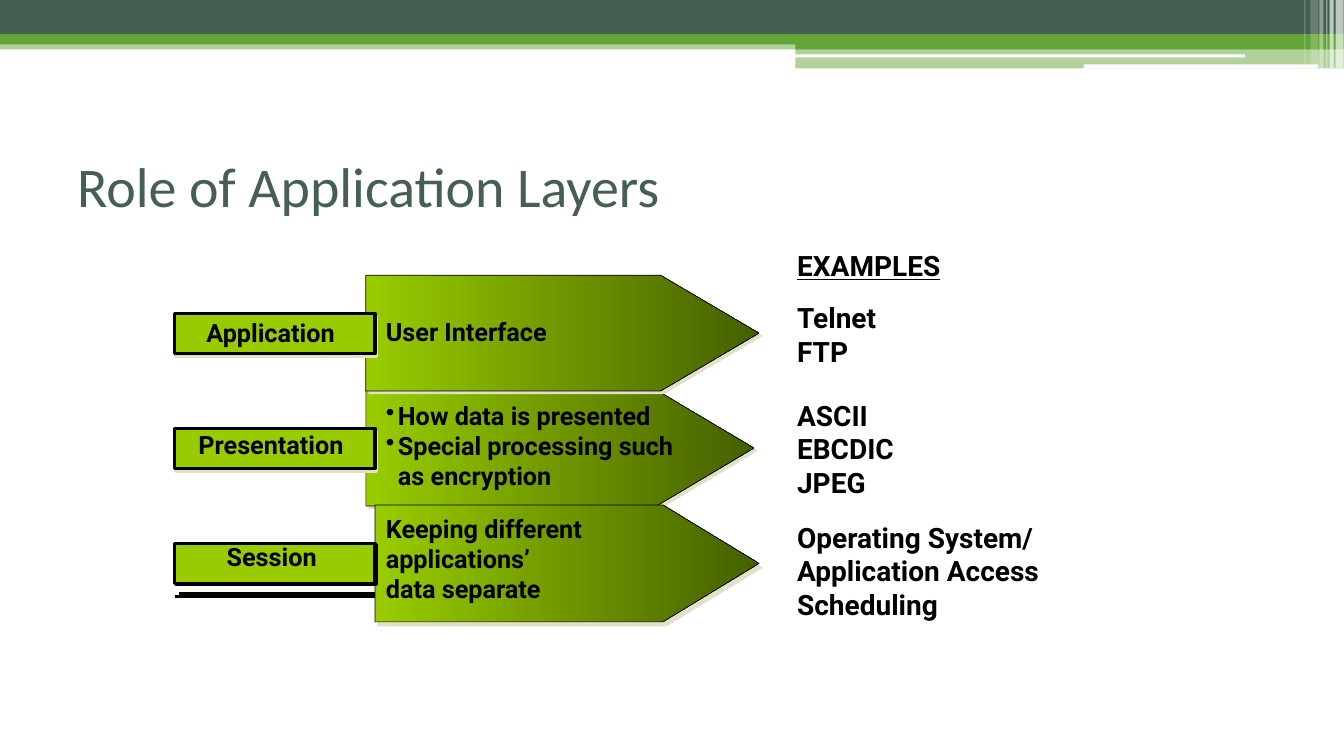
from dataclasses import dataclass

from lxml import etree
from pptx import Presentation
from pptx import util as u
from pptx.dml.color import RGBColor
from pptx.enum import shapes, text
from pptx.oxml import ns

COLUMNS, ROWS = 160, 90
WIDTH, HEIGHT = u.Emu(12192000), u.Emu(6858000)
COLORS = {
    "forest": "455F51", "green": "63A537", "white": "FFFFFF", "black": "000000",
    "lime": "99CC00", "olive": "456000", "sand": "E2DFCC",
}
FORMATS = {
    "title": {"name": "Calibri", "size": u.Pt(40), "bold": False},
    "label": {"name": "Roboto", "size": u.Pt(18), "bold": True},
    "example": {"name": "Roboto", "size": u.Pt(20), "bold": True},
    "heading": {"name": "Roboto", "size": u.Pt(20), "bold": True, "underline": True},
}
LAYER_PITCH = 13.68
ARROW_TOP, NAME_TOP = 32.76, 37.32
DETAIL_LEFT, EXAMPLE_LEFT = 44.76, 93.72


@dataclass(frozen=True)
class Box:
    left: float
    top: float
    width: float
    height: float


@dataclass(frozen=True)
class Shadow:
    color: str
    distance: float
    angle: int


@dataclass(frozen=True)
class Bar:
    box: Box
    color: str
    opacity: int = 100
    rounded: bool = False


@dataclass(frozen=True)
class Arrow:
    layer: int
    left: float
    width: float
    height: float
    point: float
    shadow: Shadow


@dataclass(frozen=True)
class Caption:
    box: Box
    lines: tuple[str, ...]
    style: str
    color: str = "black"
    middle: bool = True
    wrap: bool = True
    bullets: bool = False


BARS = [
    Bar(Box(0, 4.8, 160, 1.08), "green", 50),
    Bar(Box(0, 0, 160, 4.08), "forest"),
    Bar(Box(0, 4.08, 160, 1.2), "green"),
    Bar(Box(94.68, 4.68, 65.32, 1.2), "green"),
    Bar(Box(94.68, 5.76, 65.32, 2.4), "green", 50),
    Bar(Box(94.56, 6.48, 53.64, 0.36), "white", rounded=True),
    Bar(Box(129, 7.68, 27.96, 0.48), "white", rounded=True),
    Bar(Box(159, 0, 0.96, 8.16), "white", 65),
    Bar(Box(158.28, 0, 0.48, 8.16), "white", 65),
    Bar(Box(157.92, 0, 0.12, 8.16), "white", 60),
    Bar(Box(157.08, 0, 0.48, 8.16), "white", 40),
    Bar(Box(156, 0, 0.96, 7.68), "white", 20),
    Bar(Box(155.28, 0, 0.12, 7.68), "white", 30),
]
UNDERLINES = [Box(21.36, 70.68, 24, 0), Box(20.88, 71.04, 24, 0)]
ARROWS = [
    Arrow(1, 43.56, 46.2, 13.8, 0.841, Shadow("sand", 2.8, 45)),
    Arrow(0, 43.56, 46.8, 13.8, 0.85, Shadow("sand", 2.8, 45)),
    Arrow(2, 44.64, 45.72, 13.92, 0.822, Shadow("sand", 3.6, 56)),
]
NAME_SHADOWS = [Shadow("sand", 2.2, 63), Shadow("sand", 2.2, 63), Shadow("black", 1.4, 45)]
CAPTIONS = [
    Caption(Box(8, 15, 144, 14.04), ("Role of Application Layers",), "title", "forest"),
    Caption(Box(EXAMPLE_LEFT, 29.04, 23.64, 5.16), ("EXAMPLES",), "heading"),
    Caption(Box(EXAMPLE_LEFT, 35.16, 23.64, 9.24), ("Telnet", "FTP"), "example"),
    Caption(Box(EXAMPLE_LEFT, 46.8, 17.64, 13.2), ("ASCII", "EBCDIC", "JPEG"), "example"),
    Caption(Box(EXAMPLE_LEFT, 61.32, 34.08, 13.2),
            ("Operating System/", "Application Access", "Scheduling"), "example", wrap=False),
    Caption(Box(DETAIL_LEFT, 37.08, 42.12, 4.8), ("User Interface",), "label"),
    Caption(Box(DETAIL_LEFT, 47.04, 36.72, 12),
            ("How data is presented", "Special processing such as encryption"),
            "label", bullets=True),
    Caption(Box(DETAIL_LEFT, 60.48, 37.56, 12),
            ("Keeping different applications’", "data separate"), "label"),
    Caption(Box(23.4, 37.2, 18.72, 4.8), ("Application",), "label", middle=False, wrap=False),
    Caption(Box(22.44, 50.52, 20.64, 4.8), ("Presentation",), "label", middle=False, wrap=False),
    Caption(Box(25.8, 63.84, 13.92, 4.8), ("Session",), "label", middle=False),
]


def rgb(color: str) -> RGBColor:
    return RGBColor.from_string(COLORS[color])


def place(box: Box) -> tuple[int, int, int, int]:
    return (round(box.left * WIDTH / COLUMNS), round(box.top * HEIGHT / ROWS),
            round(box.width * WIDTH / COLUMNS), round(box.height * HEIGHT / ROWS))


def add_child(parent, tag: str, **attributes):
    return etree.SubElement(parent, ns.qn(tag), attributes)


def add_block(slide, kind, box: Box, color: str):
    shape = slide.shapes.add_shape(kind, *place(box))
    shape.shadow.inherit = False
    shape.fill.solid()
    shape.fill.fore_color.rgb = rgb(color)
    shape.line.fill.background()
    return shape


def add_outline(shape, width: float) -> None:
    shape.line.color.rgb = rgb("black")
    shape.line.width = u.Pt(width)


def add_shadow(shape, shadow: Shadow) -> None:
    effects = shape._element.spPr.find(ns.qn("a:effectLst"))
    outer = add_child(effects, "a:outerShdw", blurRad="0", dist=str(u.Pt(shadow.distance)),
                      dir=str(shadow.angle * 60000), algn="ctr", rotWithShape="0")
    add_child(outer, "a:srgbClr", val=COLORS[shadow.color])


def add_bar(slide, bar: Bar) -> None:
    kind = shapes.MSO_SHAPE.ROUNDED_RECTANGLE if bar.rounded else shapes.MSO_SHAPE.RECTANGLE
    shape = add_block(slide, kind, bar.box, bar.color)
    if bar.opacity < 100:
        color = shape._element.spPr.find(ns.qn("a:solidFill"))[0]
        add_child(color, "a:alpha", val=str(bar.opacity * 1000))


def add_underline(slide, box: Box) -> None:
    left, top, width, height = place(box)
    connector = slide.shapes.add_connector(
        shapes.MSO_CONNECTOR.STRAIGHT, left, top, left + width, top + height)
    add_outline(connector, 2.25)
    add_child(connector._element.spPr, "a:effectLst")


def add_arrow(slide, arrow: Arrow) -> None:
    box = Box(arrow.left, ARROW_TOP + arrow.layer * LAYER_PITCH, arrow.width, arrow.height)
    shape = add_block(slide, shapes.MSO_SHAPE.PENTAGON, box, "lime")
    shape.adjustments[0] = arrow.point
    shape.fill.gradient()
    shape.fill.gradient_angle = 0
    for stop, color in zip(shape.fill.gradient_stops, ("lime", "olive")):
        stop.color.rgb = rgb(color)
    add_outline(shape, 0.5)
    add_shadow(shape, arrow.shadow)


def add_name_box(slide, layer: int, shadow: Shadow) -> None:
    box = Box(20.76, NAME_TOP + layer * LAYER_PITCH, 23.88, 4.8)
    shape = add_block(slide, shapes.MSO_SHAPE.RECTANGLE, box, "lime")
    add_outline(shape, 2.25)
    add_shadow(shape, shadow)


def add_caption(slide, caption: Caption) -> None:
    frame = slide.shapes.add_textbox(*place(caption.box)).text_frame
    frame.word_wrap = caption.wrap
    frame.vertical_anchor = text.MSO_ANCHOR.MIDDLE if caption.middle else text.MSO_ANCHOR.TOP
    frame.text = "\n".join(caption.lines)
    for paragraph in frame.paragraphs:
        font = paragraph.runs[0].font
        for attribute, value in FORMATS[caption.style].items():
            setattr(font, attribute, value)
        font.color.rgb = rgb(caption.color)
        if caption.bullets:
            properties = paragraph._p.get_or_add_pPr()
            properties.set("marL", str(u.Inches(0.12)))
            properties.set("indent", str(-u.Inches(0.12)))
            add_child(properties, "a:buChar", char="•")


def main() -> None:
    presentation = Presentation()
    presentation.slide_width, presentation.slide_height = WIDTH, HEIGHT
    slide = presentation.slides.add_slide(presentation.slide_layouts[6])
    for bar in BARS:
        add_bar(slide, bar)
    for underline in UNDERLINES:
        add_underline(slide, underline)
    for arrow in ARROWS:
        add_arrow(slide, arrow)
    for layer, shadow in enumerate(NAME_SHADOWS):
        add_name_box(slide, layer, shadow)
    for caption in CAPTIONS:
        add_caption(slide, caption)
    presentation.save("out.pptx")


if __name__ == "__main__":
    main()
